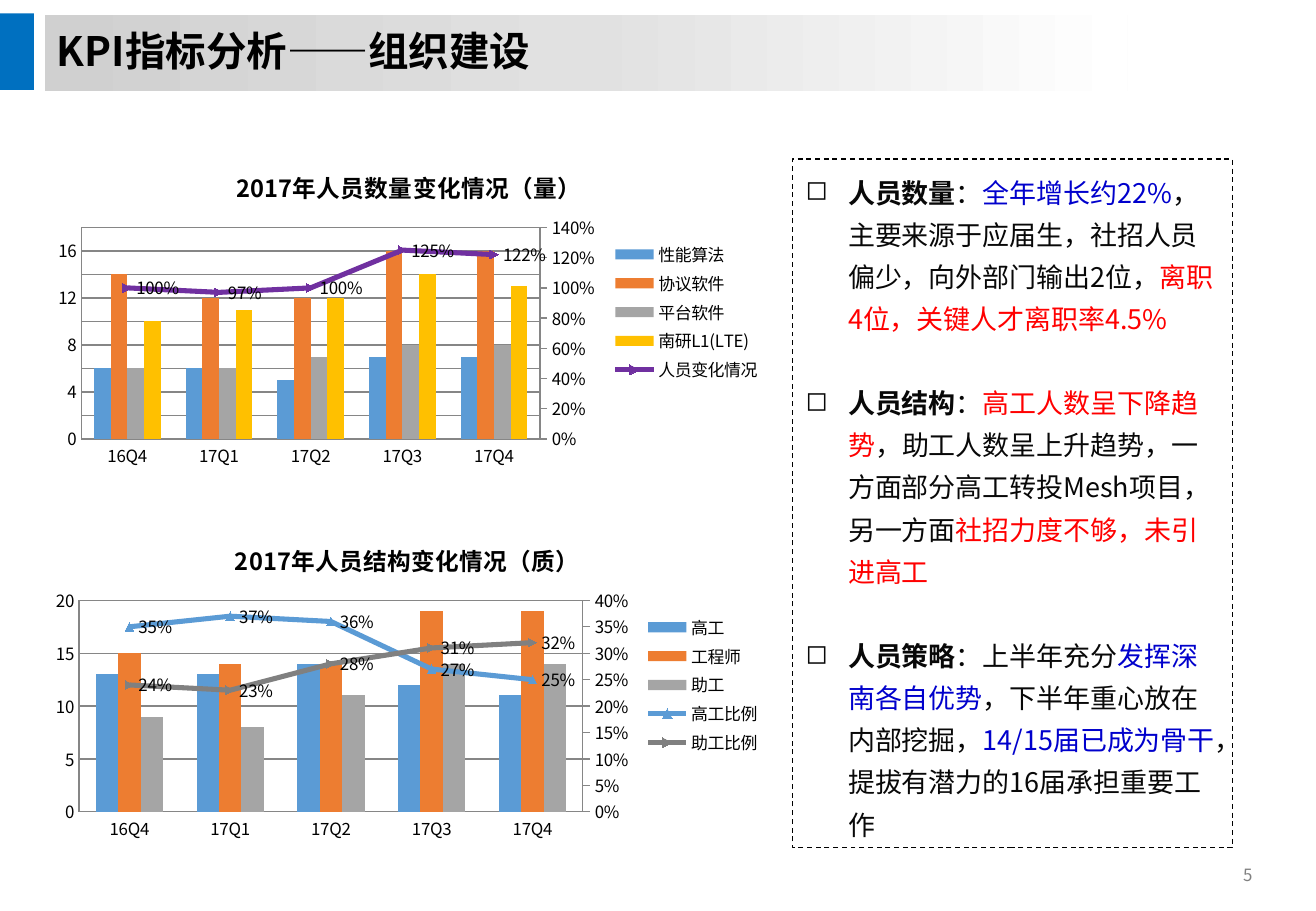
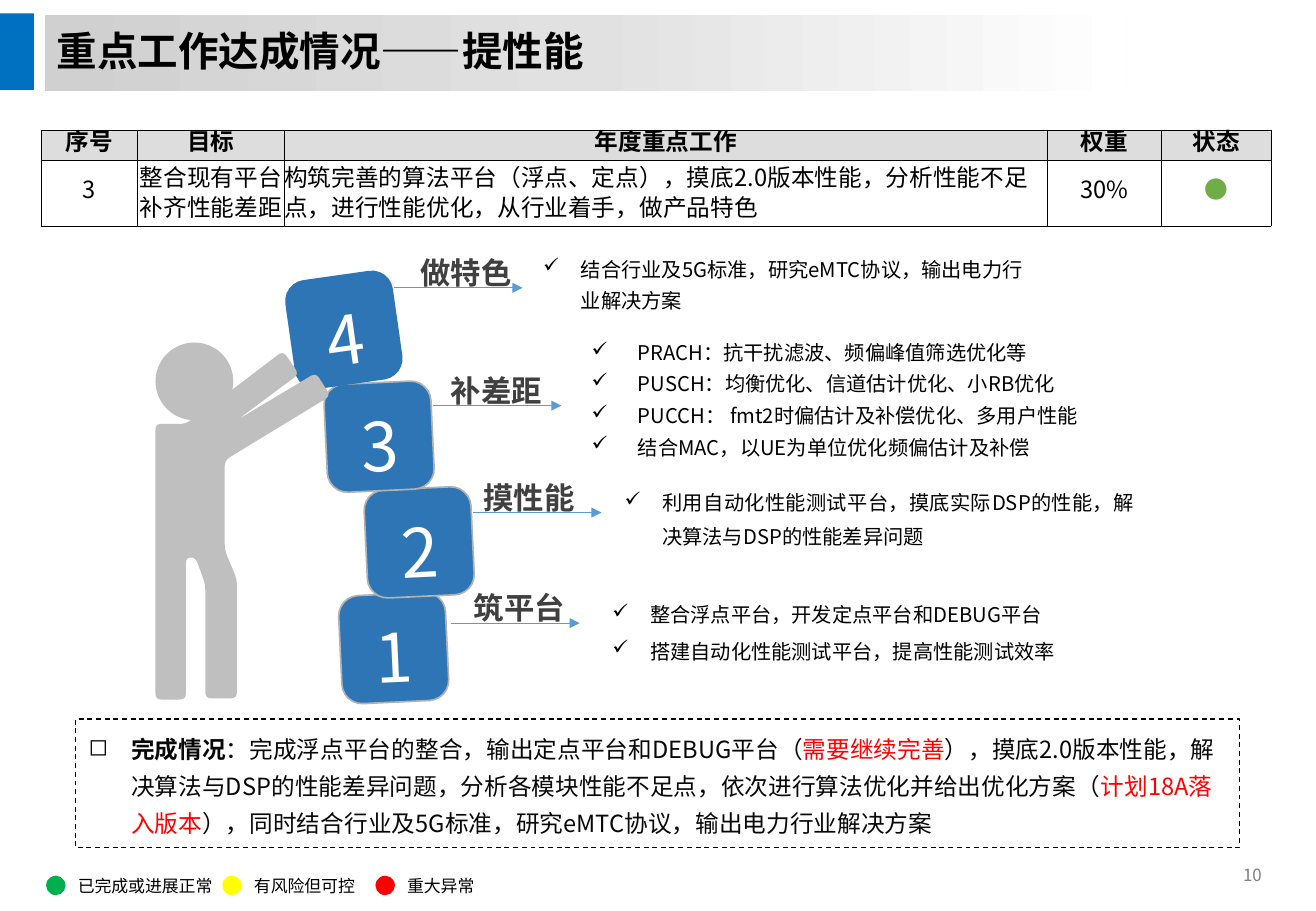
import copy
import math
from dataclasses import dataclass

import pptx
import pptx.chart.data
import pptx.dml.color
import pptx.enum.chart
import pptx.enum.dml
import pptx.enum.shapes
import pptx.enum.text
import pptx.oxml
import pptx.oxml.ns
import pptx.util

CELL = 91440
COLUMNS, ROWS = 108.3, 75
SHAPES = pptx.enum.shapes.MSO_SHAPE
ALIGN = pptx.enum.text.PP_ALIGN
ANCHOR = pptx.enum.text.MSO_ANCHOR
qn = pptx.oxml.ns.qn


@dataclass(frozen=True)
class Theme:
    font: str = "Noto Sans CJK SC"
    black: str = "000000"
    body: str = "080808"
    heading: str = "404040"
    gray: str = "808080"
    axis: str = "868686"
    white: str = "FFFFFF"
    accent: str = "0070C0"
    tile: str = "2E75B6"
    tile_line: str = "B2B2B2"
    arrow: str = "5B9BD5"
    person: str = "BFBFBF"
    table_head: str = "DDDDDD"
    status: str = "70AD47"
    red: str = "FF0000"
    blue: str = "0000CC"
    band: tuple = ((0, "D0D0D0"), (0.5, "E1E1E1"), (1, "FFFFFF"))
    series: tuple = ("5B9BD5", "ED7D31", "A5A5A5", "FFC000")
    title_size: int = 24
    tile_size: int = 40
    step_size: int = 18
    large: int = 16
    medium: int = 14
    normal: int = 12
    small: int = 10


THEME = Theme()
RED, BLUE, BOLD = {"color": THEME.red}, {"color": THEME.blue}, {"bold": True}


@dataclass(frozen=True)
class Box:
    column: float
    row: float
    columns: float
    rows: float

    def inside(self, column, row, columns, rows):
        return Box(self.column + column, self.row + row, columns, rows)

    def point(self, column, row):
        return round((self.column + column) * CELL), round((self.row + row) * CELL)

    def frame(self):
        return *self.point(0, 0), round(self.columns * CELL), round(self.rows * CELL)


PAGE = Box(0, 0, COLUMNS, ROWS)


def rgb(value):
    return pptx.dml.color.RGBColor.from_string(value)


def add_xml(parent, tag, **attributes):
    element = pptx.oxml.parse_xml(f"<{tag} {pptx.oxml.ns.nsdecls(tag.split(':')[0])}/>")
    for name, value in attributes.items():
        element.set(name, str(value))
    parent.append(element)
    return element


def format_font(font, size, color, bold=False):
    font.size, font.bold, font.name = pptx.util.Pt(size), bold, THEME.font
    font.color.rgb = rgb(color)
    add_xml(font._rPr, "a:ea", typeface=THEME.font)


def write_text(frame, paragraphs, *, size, color=THEME.black, bold=False, align=None,
               line=None, after=0, bullet=None, indent=0):
    for index, runs in enumerate(paragraphs):
        paragraph = frame.paragraphs[0] if index == 0 else frame.add_paragraph()
        paragraph.alignment = align or ALIGN.LEFT
        if line:
            paragraph.line_spacing = pptx.util.Pt(line)
        if after and index < len(paragraphs) - 1:
            paragraph.space_after = pptx.util.Pt(after)
        if bullet:
            properties = paragraph._p.get_or_add_pPr()
            properties.set("marL", str(round(indent * CELL)))
            properties.set("indent", str(round(-indent * CELL)))
            add_xml(properties, "a:buChar", char=bullet)
        for part in [runs] if isinstance(runs, str) else runs:
            words, special = (part, {}) if isinstance(part, str) else part
            run = paragraph.add_run()
            run.text = words
            format_font(run.font, size, **({"color": color, "bold": bold} | special))


def set_frame(frame, anchor=ANCHOR.MIDDLE, inset=(0, 0)):
    frame.word_wrap, frame.vertical_anchor = True, anchor
    frame.margin_left = frame.margin_right = round(inset[0] * CELL)
    frame.margin_top = frame.margin_bottom = round(inset[1] * CELL)
    return frame


def add_label(slide, box, paragraphs, **text_format):
    frame = set_frame(slide.shapes.add_textbox(*box.frame()).text_frame)
    write_text(frame, paragraphs, **text_format)


def style_shape(shape, fill=None, line=None, width=0.75):
    shape.shadow.inherit = False
    if fill:
        shape.fill.solid()
        shape.fill.fore_color.rgb = rgb(fill)
    else:
        shape.fill.background()
    if line:
        shape.line.color.rgb = rgb(line)
        shape.line.width = pptx.util.Pt(width)
    else:
        shape.line.fill.background()
    return shape


def add_shape(slide, box, preset=SHAPES.RECTANGLE, **style):
    return style_shape(slide.shapes.add_shape(preset, *box.frame()), **style)


def add_page(presentation, title, number):
    slide = presentation.slides.add_slide(presentation.slide_layouts[6])
    add_label(slide, PAGE.inside(102.3, 70.7, 4, 2.7), [number],
              size=THEME.small, color=THEME.gray, line=12)
    add_shape(slide, PAGE.inside(0, 1.1, 2.8, 6.3), fill=THEME.accent)
    band = add_shape(slide, PAGE.inside(3.7, 1.2, 89.1, 6.3))
    band.fill.gradient()
    band.fill.gradient_angle = 0
    stops = band._element.spPr.find(".//" + qn("a:gsLst"))
    stops.append(copy.deepcopy(stops[-1]))
    for stop, (position, color) in zip(band.fill.gradient_stops, THEME.band):
        stop.position, stop.color.rgb = position, rgb(color)
    write_text(set_frame(band.text_frame, inset=(1, 0.5)), [title],
               size=THEME.title_size, bold=True, line=26)
    return slide


def add_panel(slide, box, paragraphs, size):
    panel = add_shape(slide, box, line=THEME.black)
    panel.line.dash_style = pptx.enum.dml.MSO_LINE.DASH
    line = size * 1.56
    write_text(set_frame(panel.text_frame, ANCHOR.TOP, (1.1, 0.6)), paragraphs, size=size,
               color=THEME.body, line=line, after=line, bullet="◻", indent=3.5)


def add_ratio_axis(chart, count, grouping, maximum, unit):
    area = chart._chartSpace.find(".//" + qn("c:plotArea"))
    bars = area.find(qn("c:barChart"))
    namespaces = pptx.oxml.ns.nsdecls("c", "a")
    lines = pptx.oxml.parse_xml(
        f'<c:lineChart {namespaces}><c:grouping val="{grouping}"/><c:varyColors val="0"/>'
        '<c:marker val="1"/><c:axId val="5001"/><c:axId val="5002"/></c:lineChart>')
    for offset, series in enumerate(bars.findall(qn("c:ser"))[count:]):
        for unused in series.findall(qn("c:invertIfNegative")):
            series.remove(unused)
        lines.insert(2 + offset, series)
    bars.addnext(lines)
    value_axis = pptx.oxml.parse_xml(
        f'<c:valAx {namespaces}><c:axId val="5002"/><c:scaling>'
        f'<c:orientation val="minMax"/><c:max val="{maximum}"/><c:min val="0"/></c:scaling>'
        '<c:delete val="0"/><c:axPos val="r"/><c:numFmt formatCode="0%" sourceLinked="0"/>'
        '<c:majorTickMark val="out"/><c:minorTickMark val="none"/><c:tickLblPos val="nextTo"/>'
        f'<c:spPr><a:ln w="9525"><a:solidFill><a:srgbClr val="{THEME.axis}"/></a:solidFill>'
        '</a:ln></c:spPr><c:crossAx val="5001"/><c:crosses val="max"/>'
        f'<c:crossBetween val="between"/><c:majorUnit val="{unit}"/></c:valAx>')
    category_axis = pptx.oxml.parse_xml(
        f'<c:catAx {namespaces}><c:axId val="5001"/><c:scaling>'
        '<c:orientation val="minMax"/></c:scaling><c:delete val="1"/><c:axPos val="b"/>'
        '<c:crossAx val="5002"/><c:crosses val="autoZero"/></c:catAx>')
    area.findall(qn("c:valAx"))[-1].addnext(value_axis)
    value_axis.addnext(category_axis)


def set_plot_layout(chart, **shares):
    area = chart._chartSpace.find(".//" + qn("c:plotArea"))
    for unused in area.findall(qn("c:layout")):
        area.remove(unused)
    sizes = "".join(f'<c:{name} val="{share}"/>' for name, share in shares.items())
    area.insert(0, pptx.oxml.parse_xml(
        f'<c:layout {pptx.oxml.ns.nsdecls("c")}><c:manualLayout><c:layoutTarget val="inner"/>'
        f'<c:xMode val="edge"/><c:yMode val="edge"/>{sizes}</c:manualLayout></c:layout>'))


def add_combined_chart(slide, box, title, columns, ratios, left, right, width, grouping):
    data = pptx.chart.data.CategoryChartData()
    data.categories = ["16Q4", "17Q1", "17Q2", "17Q3", "17Q4"]
    for name, values in columns:
        data.add_series(name, values, "General")
    for name, values, color in ratios:
        data.add_series(name, values, "0%")
    chart = slide.shapes.add_chart(
        pptx.enum.chart.XL_CHART_TYPE.COLUMN_CLUSTERED, *box.frame(), data).chart
    format_font(chart.font, THEME.small, THEME.black)
    write_text(chart.chart_title.text_frame, [title], size=THEME.medium, bold=True,
               align=ALIGN.CENTER)
    chart.has_legend = True
    chart.legend.position = pptx.enum.chart.XL_LEGEND_POSITION.RIGHT
    chart.legend.include_in_layout = False
    values = chart.value_axis
    values.minimum_scale, (values.maximum_scale, values.major_unit) = 0, left
    values.has_major_gridlines = True
    for axis in (values, chart.category_axis):
        axis.major_tick_mark = pptx.enum.chart.XL_TICK_MARK.NONE
    for line in (values.major_gridlines.format.line, values.format.line,
                 chart.category_axis.format.line):
        line.color.rgb, line.width = rgb(THEME.axis), pptx.util.Pt(0.75)
    add_ratio_axis(chart, len(columns), grouping, *right)
    set_plot_layout(chart, x=0.05, y=0.24, w=width, h=0.65)
    bars, lines = chart.plots
    bars.gap_width, bars.overlap, bars.vary_by_categories = 150, 0, False
    for series, color in zip(bars.series, THEME.series):
        series.format.fill.solid()
        series.format.fill.fore_color.rgb = rgb(color)
    for series, (_, _, color) in zip(lines.series, ratios):
        series.smooth = False
        series.format.line.color.rgb = rgb(color)
        series.format.line.width = pptx.util.Pt(3)
        series.marker.format.fill.solid()
        series.marker.format.fill.fore_color.rgb = rgb(color)
        labels = series.data_labels
        labels.show_value, labels.number_format = True, "0%"
        labels.number_format_is_linked = False
        labels.position = pptx.enum.chart.XL_LABEL_POSITION.RIGHT


def add_goal_table(slide, box):
    rows = [["序号", "目标", "年度重点工作", "权重", "状态"],
            ["3", "整合现有平台\n补齐性能差距",
             "构筑完善的算法平台（浮点、定点），摸底2.0版本性能，分析性能不足点，进行性能优化，从行业着手，做产品特色",
             "30%", "●"]]
    table = slide.shapes.add_table(2, 5, *box.frame()).table
    table.first_row = table.horz_banding = False
    for column, width in zip(table.columns, (7.9, 12.1, 62.8, 9.4, 9)):
        column.width = round(width * CELL)
    for row, height in zip(table.rows, (2.5, 5.4)):
        row.height = round(height * CELL)
    for row, texts in enumerate(rows):
        for column, words in enumerate(texts):
            cell = table.cell(row, column)
            head, wide = row == 0, row == 1 and column in (1, 2)
            set_frame(cell.text_frame)
            cell.vertical_anchor = ANCHOR.MIDDLE
            cell.margin_left = cell.margin_right = cell.margin_top = cell.margin_bottom = 0
            write_text(cell.text_frame, words.split("\n"), size=THEME.medium, bold=head,
                       color=THEME.status if words == "●" else THEME.black,
                       align=ALIGN.LEFT if wide and column == 2 else ALIGN.CENTER,
                       line=18 if wide else 14)
            properties = cell._tc.get_or_add_tcPr()
            for side in "LRTB":
                border = add_xml(properties, f"a:ln{side}", w=3175)
                add_xml(add_xml(border, "a:solidFill"), "a:srgbClr", val=THEME.black)
            if head:
                cell.fill.solid()
                cell.fill.fore_color.rgb = rgb(THEME.table_head)
            else:
                cell.fill.background()


def round_corners(points, radius):
    outline = []
    for index, corner in enumerate(points):
        ends = []
        for other in (points[index - 1], points[(index + 1) % len(points)]):
            share = min(0.5, radius / math.dist(corner, other))
            ends.append([c + (o - c) * share for c, o in zip(corner, other)])
        for t in (0, 0.25, 0.5, 0.75, 1):
            outline.append(tuple((1 - t) ** 2 * a + 2 * t * (1 - t) * c + t * t * b
                                 for a, c, b in zip(ends[0], corner, ends[1])))
    return outline


def add_person(slide, box):
    body = [(0, 6.7), (2.5, 6.7), (3, 6.3), (6.3, 3.9), (10.5, 0.7), (11.8, 2.6), (6.7, 6.4),
            (13.2, 2.5), (14.4, 4.4), (5.7, 9.7), (5.7, 17.1), (6.7, 19.5), (6.7, 29.3),
            (4.1, 29.3), (4.1, 19.9), (3.3, 17.7), (2.5, 17.7), (2.5, 29.4), (0, 29.4)]
    add_shape(slide, box.inside(0, 0, 6.4, 6.4), SHAPES.OVAL, fill=THEME.person)
    outline = [box.point(*point) for point in round_corners(body, 0.5)]
    builder = slide.shapes.build_freeform(*outline[0], scale=1.0)
    builder.add_line_segments(outline[1:], close=True)
    style_shape(builder.convert_to_shape(), fill=THEME.person)


def add_step(slide, area, number, heading, tile, angle, edge, arrow, heading_column):
    shape = add_shape(slide, area.inside(*tile, 8.8, 8.9), SHAPES.ROUNDED_RECTANGLE,
                      fill=THEME.tile, line=edge, width=1)
    shape.adjustments[0], shape.rotation = 0.19, angle
    write_text(set_frame(shape.text_frame), [number], size=THEME.tile_size,
               color=THEME.white, align=ALIGN.CENTER, line=57.6)
    column, row = arrow
    connector = slide.shapes.add_connector(
        pptx.enum.shapes.MSO_CONNECTOR.STRAIGHT,
        *area.point(column, row), *area.point(column + 10.6, row))
    connector.line.color.rgb, connector.line.width = rgb(THEME.arrow), pptx.util.Pt(0.5)
    add_xml(connector.line._get_or_add_ln(), "a:tailEnd", type="triangle")
    add_xml(connector._element.spPr, "a:effectLst")
    add_label(slide, area.inside(heading_column, row - 5.7, 8.7, 8), [heading],
              size=THEME.step_size, color=THEME.heading, bold=True, align=ALIGN.CENTER, line=28)


def add_steps(slide, area):
    for step in (
            ("1", "筑平台", (15.2, 30.6), 357.3, THEME.tile_line, (24.3, 33), 25.6),
            ("2", "摸性能", (17.3, 21.9), 357.3, THEME.tile_line, (26.1, 23.9), 26.4),
            ("3", "补差距", (14, 13.2), 357.3, THEME.tile_line, (22.8, 15.1), 23.7),
            ("4", "做特色", (11.1, 4.4), 351.9, THEME.tile, (19.6, 5.4), 21.2)):
        add_step(slide, area, *step)
    add_person(slide, area.inside(0, 9.9, 14.4, 29.4))
    for place, indent, line, align, items in (
            ((31.9, 1.8, 40.2, 6.1), 3.1, 18.7, ALIGN.LEFT,
             ["结合行业及5G标准，研究eMTC协议，输出电力行业解决方案"]),
            ((35.9, 9.1, 45.3, 10.4), 3.8, 18.7, ALIGN.LEFT,
             ["PRACH：抗干扰滤波、频偏峰值筛选优化等", "PUSCH：均衡优化、信道估计优化、小RB优化",
              "PUCCH： fmt2时偏估计及补偿优化、多用户性能", "结合MAC，以UE为单位优化频偏估计及补偿"]),
            ((38.6, 20.6, 41.9, 6.9), 3.1, 20.2, ALIGN.JUSTIFY,
             ["利用自动化性能测试平台，摸底实际DSP的性能，解决算法与DSP的性能差异问题"]),
            ((37.6, 28.5, 41.9, 9.6), 3.1, 21.6, ALIGN.JUSTIFY,
             ["整合浮点平台，开发定点平台和DEBUG平台", "搭建自动化性能测试平台，提高性能测试效率"])):
        add_label(slide, area.inside(*place), items, size=THEME.normal, align=align,
                  line=line, bullet="✓", indent=indent)


def add_status_key(slide, area):
    for column, color, words in ((0, "00B050", "已完成或进展正常"), (14.5, "FFFF00", "有风险但可控"),
                                 (27.1, THEME.red, "重大异常")):
        add_shape(slide, area.inside(column, 0.5, 1.6, 1.6), SHAPES.OVAL, fill=color)
        add_label(slide, area.inside(column + 2.6, 0, 11.8, 2.7), [words],
                  size=THEME.small, line=12)


def add_team_slide(presentation):
    slide = add_page(presentation, "KPI指标分析——组织建设", "5")
    add_combined_chart(
        slide, PAGE.inside(3.7, 12.3, 59.9, 26.8), "2017年人员数量变化情况（量）",
        [("性能算法", (6, 6, 5, 7, 7)), ("协议软件", (14, 12, 12, 16, 16)),
         ("平台软件", (6, 6, 7, 8, 8)), ("南研L1(LTE)", (10, 11, 12, 14, 13))],
        [("人员变化情况", (1, 0.97, 1, 1.25, 1.22), "7030A0")],
        (18, 2), (1.4, 0.2), 0.63, "stacked")
    add_combined_chart(
        slide, PAGE.inside(3.5, 43, 60.1, 26.8), "2017年人员结构变化情况（质）",
        [("高工", (13, 13, 14, 12, 11)), ("工程师", (15, 14, 14, 19, 19)),
         ("助工", (9, 8, 11, 14, 14))],
        [("高工比例", (0.35, 0.37, 0.36, 0.27, 0.25), THEME.series[0]),
         ("助工比例", (0.24, 0.23, 0.28, 0.31, 0.32), THEME.gray)],
        (20, 5), (0.4, 0.05), 0.69, "standard")
    add_panel(slide, PAGE.inside(65.2, 13.1, 36.2, 56.7), [
        [("人员数量", BOLD), "：", ("全年增长约22%", BLUE),
         "，主要来源于应届生，社招人员偏少，向外部门输出2位，", ("离职4位，关键人才离职率4.5%", RED)],
        [("人员结构", BOLD), "：", ("高工人数呈下降趋势", RED),
         "，助工人数呈上升趋势，一方面部分高工转投Mesh项目，另一方面", ("社招力度不够，未引进高工", RED)],
        [("人员策略", BOLD), "：上半年充分", ("发挥深南各自优势", BLUE),
         "，下半年重心放在内部挖掘，", ("14/15届已成为骨干", BLUE),
         "，提拔有潜力的16届承担重要工作"]], THEME.large)


def add_performance_slide(presentation):
    slide = add_page(presentation, "重点工作达成情况——提性能", "10")
    add_goal_table(slide, PAGE.inside(3.4, 10.7, 101.2, 7.9))
    add_status_key(slide, PAGE.inside(3.8, 71.6, 40, 2.7))
    add_panel(slide, PAGE.inside(6.2, 59.2, 95.8, 10.6), [
        [("完成情况", BOLD), "：完成浮点平台的整合，输出定点平台和DEBUG平台（", ("需要继续完善", RED),
         "），摸底2.0版本性能，解决算法与DSP的性能差异问题，分析各模块性能不足点，依次进行算法优化并给出优化方案（",
         ("计划18A落入版本", RED), "），同时结合行业及5G标准，研究eMTC协议，输出电力行业解决方案"]],
        THEME.medium)
    add_steps(slide, PAGE.inside(12.8, 18.3, 82, 40))


def main():
    presentation = pptx.Presentation()
    presentation.slide_width = round(COLUMNS * CELL)
    presentation.slide_height = round(ROWS * CELL)
    add_team_slide(presentation)
    add_performance_slide(presentation)
    presentation.save("out.pptx")


if __name__ == "__main__":
    main()
